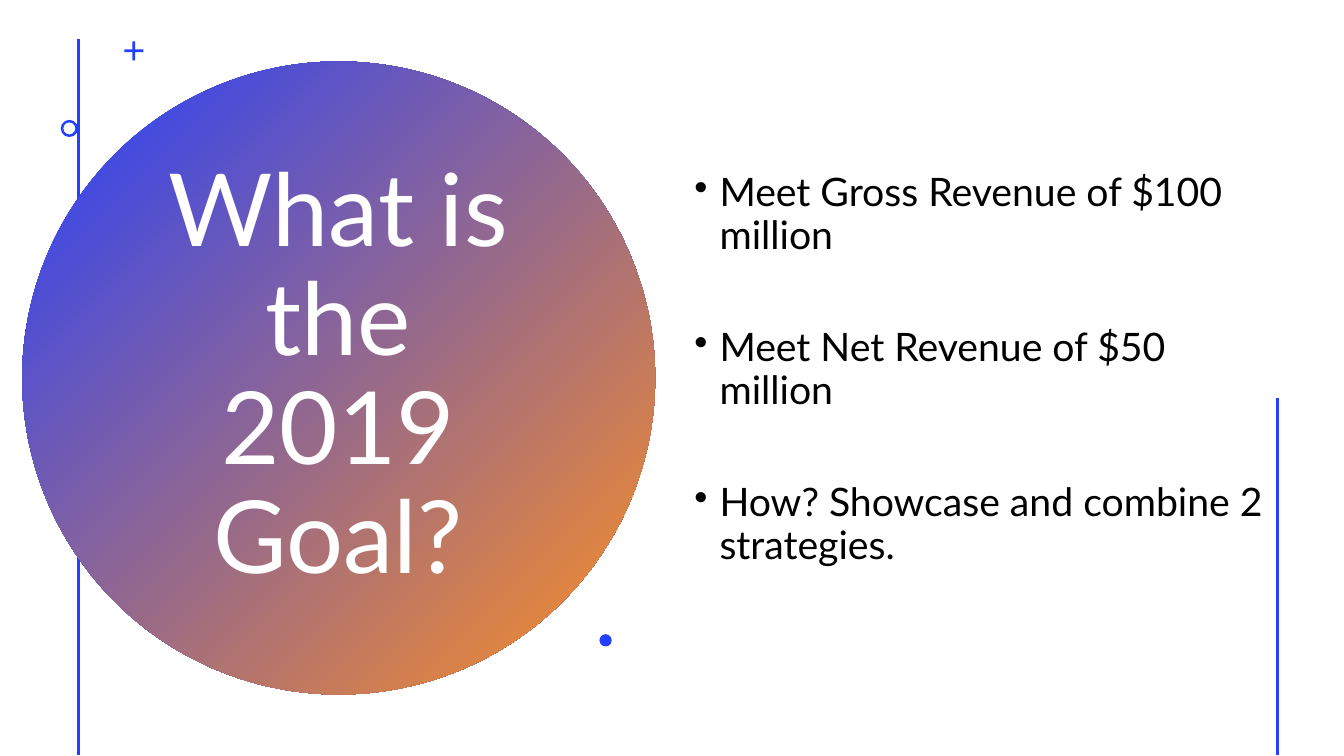
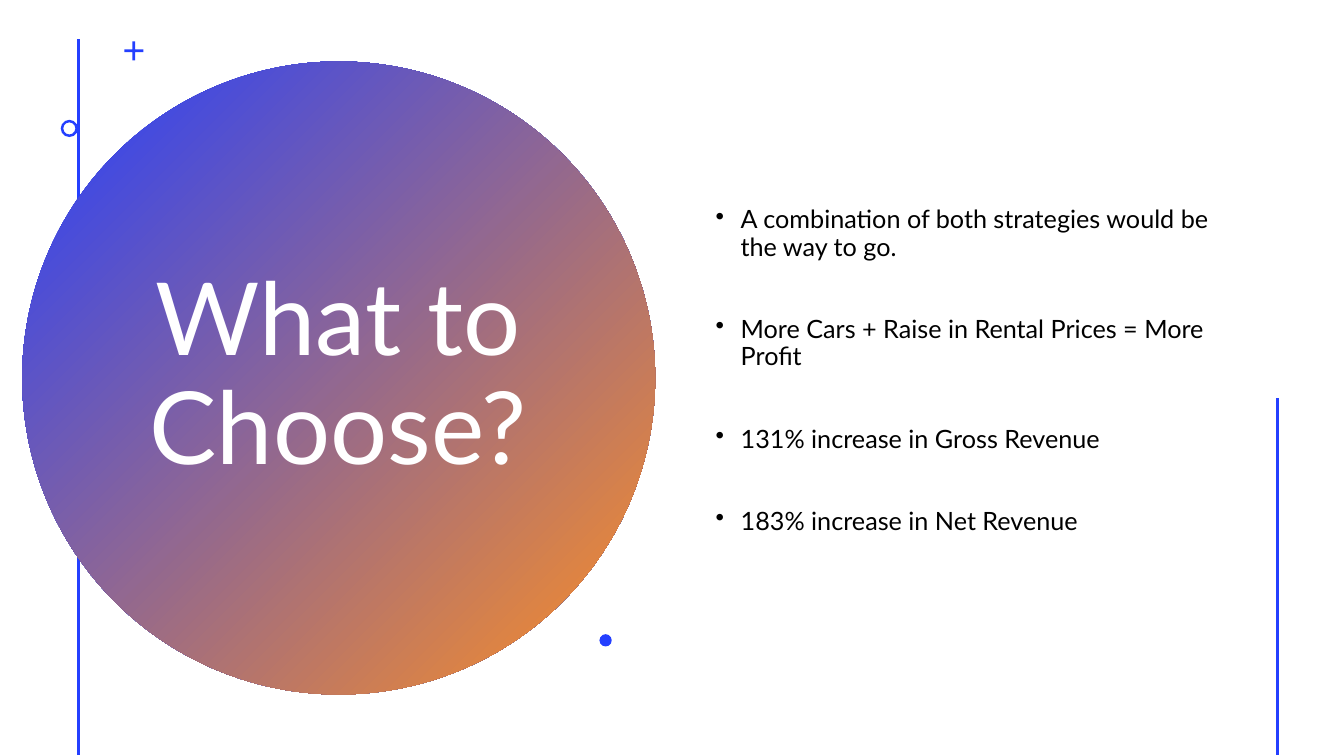
"""Build two goal slides, each a title disc beside a bullet list."""
from lxml import etree
from pptx import Presentation
from pptx.dml.color import RGBColor
from pptx.enum import shapes, text
from pptx.oxml import ns
from pptx.util import Pt

HUES = {"blue": "243FFF", "orange": "FF9022", "white": "FFFFFF", "black": "000000"}
FONT = "Lato"
KIND = shapes.MSO_SHAPE
DISC = (15.84, 43.92, 452.16, 452.16)
HEAD = (97.92, 101.52, 287.28, 336.24)
MARKS = [
    (KIND.CROSS, (88.8, 29.5, 13.6, 13.6), 0.43),
    (KIND.DONUT, (43.4, 85.6, 12.3, 12.3), 0.15),
    (KIND.OVAL, (428.2, 453, 8.8, 8.8), None),
]
RULES = [(56.16, 28.08), (912.24, 284.4)]
FOOT = 539.28
PAGES = [
    ("What is the 2019 Goal?", (488.88, 29.52, 424.08, 470.16), 28, [
        "Meet Gross Revenue of $100 million",
        "Meet Net Revenue of $50 million",
        "How? Showcase and combine 2 strategies.",
    ]),
    ("What to Choose?", (504, 30.24, 368.64, 470.16), 18, [
        "A combination of both strategies would be the way to go.",
        "More Cars + Raise in Rental Prices = More Profit",
        "131% increase in Gross Revenue",
        "183% increase in Net Revenue",
    ]),
]


def tint(name):
    """Return the named colour."""
    return RGBColor.from_string(HUES[name])


def write(frame, lines, size, hue, align, lead=0, gap=0, dot=False):
    """Fill a text frame with formatted paragraphs."""
    frame.word_wrap = True
    frame.auto_size = text.MSO_AUTO_SIZE.NONE
    frame.vertical_anchor = text.MSO_ANCHOR.MIDDLE
    for i, line in enumerate(lines):
        para = frame.add_paragraph() if i else frame.paragraphs[0]
        para.alignment = align
        para.line_spacing = 0.9
        para.space_before = Pt(gap if i else lead)
        run = para.add_run()
        run.text = line
        run.font.name, run.font.size = FONT, Pt(size)
        run.font.color.rgb = tint(hue)
        if dot:
            props = para._p.get_or_add_pPr()
            props.set("marL", str(Pt(18)))
            props.set("indent", str(Pt(-18)))
            etree.SubElement(props, ns.qn("a:buChar"), char="•")


def rule(slide, x, top):
    """Draw a vertical line from top to the foot of the slide."""
    line = slide.shapes.add_connector(
        shapes.MSO_CONNECTOR.STRAIGHT, Pt(x), Pt(top), Pt(x), Pt(FOOT))
    line.line.color.rgb = tint("blue")
    line.line.width = Pt(2)
    etree.SubElement(line.element.spPr, ns.qn("a:effectLst"))


def form(slide, kind, box):
    """Add a blue preset shape without outline or shadow."""
    item = slide.shapes.add_shape(kind, *map(Pt, box))
    item.shadow.inherit = False
    item.line.fill.background()
    item.fill.solid()
    item.fill.fore_color.rgb = tint("blue")
    return item


def banner(slide, title, box):
    """Draw the gradient disc and set the title over it."""
    disc = form(slide, KIND.OVAL, box)
    disc.fill.gradient()
    disc.fill.gradient_angle = 315
    for stop, hue, spot in zip(disc.fill.gradient_stops, ("blue", "orange"), (0, 1)):
        stop.color.rgb = tint(hue)
        stop.position = spot
    head = slide.shapes.title
    head.left, head.top, head.width, head.height = map(Pt, HEAD)
    write(head.text_frame, [title], 72, "white", text.PP_ALIGN.CENTER)
    disc.element.addnext(head.element)


def marks(slide):
    """Scatter the small ornaments around the disc."""
    for kind, box, ratio in MARKS:
        item = form(slide, kind, box)
        if ratio:
            item.adjustments[0] = ratio


def points(slide, lines, size, box):
    """Place the bullet list, one blank line's height between items."""
    area = slide.shapes.add_textbox(*map(Pt, box))
    write(area.text_frame, lines, size, "black", text.PP_ALIGN.LEFT,
          lead=10, gap=round(size * 1.08 + 20, 1), dot=True)


def page(deck, title, box, size, lines):
    """Build one slide from its title and bullets."""
    slide = deck.slides.add_slide(deck.slide_layouts[5])
    left, right = RULES
    rule(slide, *left)
    banner(slide, title, DISC)
    marks(slide)
    points(slide, lines, size, box)
    rule(slide, *right)


def main():
    """Build and save the deck."""
    deck = Presentation()
    deck.slide_width, deck.slide_height = Pt(960), Pt(540)
    for item in PAGES:
        page(deck, *item)
    deck.save("out.pptx")


main()
